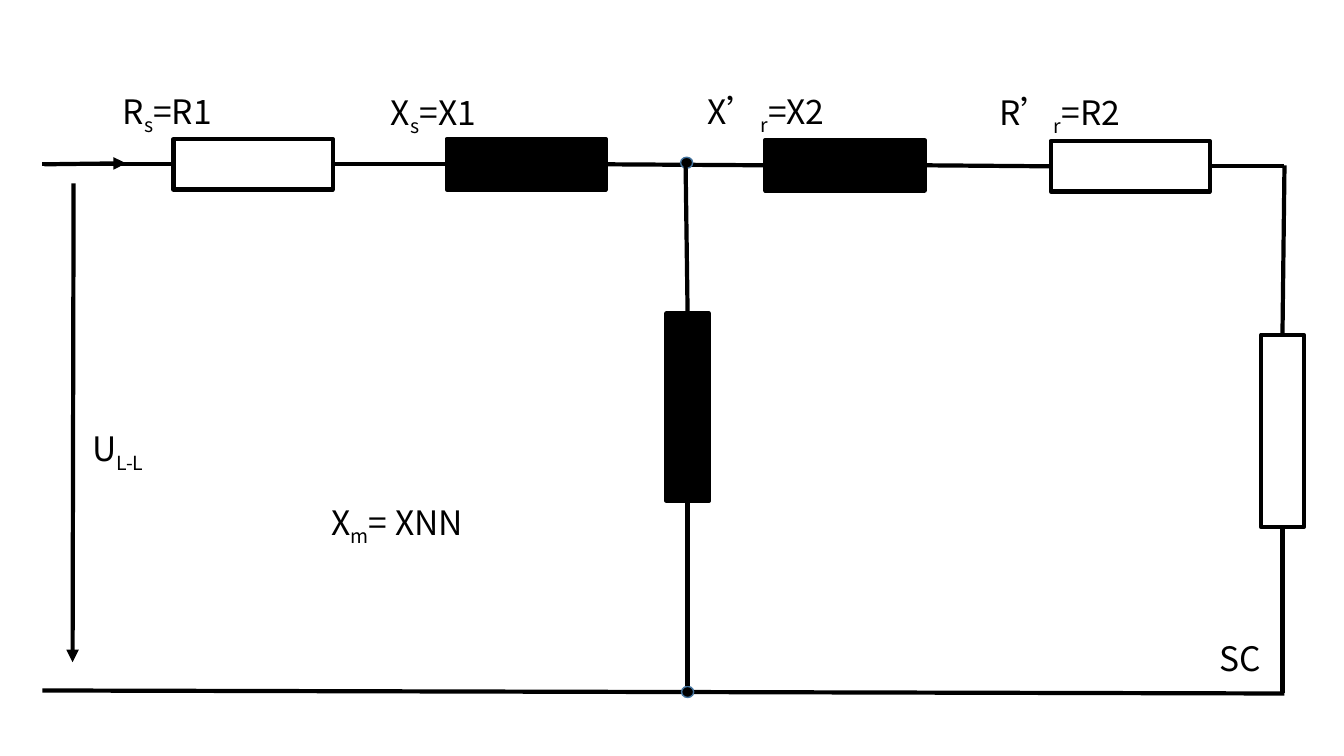
"""Draw the equivalent circuit of an induction machine on one slide."""
from lxml import etree
from pptx import Presentation
from pptx import util as u
from pptx.dml import color
from pptx.enum import shapes, text
from pptx.oxml import ns

COLOURS = {"ink": "000000", "node_edge": "43739E"}
FONT = "Noto Sans CJK SC"
COLS, ROWS = 133.3, 75
TOP, LEFT, BOTTOM, RIGHT = range(4)


class Circuit:
    """Hold the style and slide, placing parts on a grid of COLS by ROWS."""

    def __init__(self, deck):
        self.slide = deck.slides.add_slide(deck.slide_layouts[6])
        self.column = deck.slide_width / COLS
        self.row = deck.slide_height / ROWS

    def place(self, x, y):
        return u.Emu(round(x * self.column)), u.Emu(round(y * self.row))

    def outline(self, line, colour="ink", width=3):
        line.color.rgb = color.RGBColor.from_string(COLOURS[colour])
        line.width = u.Pt(width)

    def solid(self, fill):
        fill.solid()
        fill.fore_color.rgb = color.RGBColor.from_string(COLOURS["ink"])

    def element(self, x, y, width, height, filled=False):
        box = self.slide.shapes.add_shape(
            shapes.MSO_SHAPE.RECTANGLE, *self.place(x, y), *self.place(width, height))
        box.shadow.inherit = False
        if filled:
            self.solid(box.fill)
        else:
            box.fill.background()
        self.outline(box.line)
        return box

    def node(self, x, y):
        dot = self.slide.shapes.add_shape(
            shapes.MSO_SHAPE.OVAL, *self.place(x, y), *self.place(1.2, 1.1))
        dot.shadow.inherit = False
        self.solid(dot.fill)
        self.outline(dot.line, "node_edge", 1)

    def wire(self, start, end, arrow=False):
        """Join two ends, each a grid point or an (element, side) pair."""
        joined = [not isinstance(part, (int, float)) for part, _ in (start, end)]
        points = [(0, 0) if fixed else self.place(*spot)
                  for fixed, spot in zip(joined, (start, end))]
        line = self.slide.shapes.add_connector(
            shapes.MSO_CONNECTOR.STRAIGHT, *points[0], *points[1])
        if joined[0]:
            line.begin_connect(*start)
        if joined[1]:
            line.end_connect(*end)
        self.outline(line.line)
        properties = line._element.spPr
        if arrow:
            etree.SubElement(properties.find(ns.qn("a:ln")), ns.qn("a:tailEnd"), type="triangle")
        etree.SubElement(properties, ns.qn("a:effectLst"))

    def label(self, x, y, width, symbol, subscript="", value=""):
        box = self.slide.shapes.add_textbox(*self.place(x, y), *self.place(width, 5))
        frame = box.text_frame
        frame.word_wrap = True
        frame.auto_size = text.MSO_AUTO_SIZE.SHAPE_TO_FIT_TEXT
        paragraph = frame.paragraphs[0]
        for words, baseline in ((symbol, 0), (subscript, -25000), (value, 0)):
            if words:
                run = paragraph.add_run()
                run.text = words
                run.font.size = u.Pt(24)
                run.font.name = FONT
                run.font.color.rgb = color.RGBColor.from_string(COLOURS["ink"])
                properties = run._r.get_or_add_rPr()
                properties.set("baseline", str(baseline))
                etree.SubElement(properties, ns.qn("a:ea"), typeface=FONT)


def main():
    deck = Presentation()
    deck.slide_width, deck.slide_height = u.Inches(13.33), u.Inches(7.5)
    circuit = Circuit(deck)

    stator_resistance = circuit.element(17.2, 13.8, 15.8, 5)
    stator_reactance = circuit.element(44.3, 13.8, 15.8, 5, filled=True)
    rotor_reactance = circuit.element(75.9, 13.9, 15.8, 5, filled=True)
    rotor_resistance = circuit.element(104.2, 14, 15.8, 5)
    magnetising = circuit.element(66.1, 31.1, 4.2, 18.6, filled=True)
    load = circuit.element(125.1, 33.2, 4.2, 19.1)

    series = [stator_resistance, stator_reactance, rotor_reactance, rotor_resistance]
    for before, after in zip(series, series[1:]):
        circuit.wire((before, RIGHT), (after, LEFT))
    circuit.wire((4.2, 16.3), (stator_resistance, LEFT))
    circuit.wire((rotor_resistance, RIGHT), (127.4, 16.5))
    circuit.wire((127.4, 16.4), (load, TOP))
    circuit.wire((load, BOTTOM), (127.2, 68.8))
    circuit.wire((4.2, 68.5), (127.4, 68.8))

    circuit.node(67.5, 15.6)
    circuit.node(67.6, 68.1)
    circuit.wire((68, 16.5), (magnetising, TOP))
    circuit.wire((magnetising, BOTTOM), (68.2, 68.1))

    circuit.wire((4.4, 16.3), (12.5, 16.2), arrow=True)
    circuit.wire((7.3, 18.2), (7.2, 65.7), arrow=True)

    circuit.label(11.2, 8.5, 27.9, "R", "s", "=R1")
    circuit.label(37.8, 8.6, 31.6, "X", "s", "=X1")
    circuit.label(69.2, 8.5, 29.8, "X’", "r", "=X2")
    circuit.label(98.1, 8.6, 30.1, "R’", "r", "=R2")
    circuit.label(8.2, 42, 13, "U", "L-L")
    circuit.label(31.9, 49.3, 40.6, "X", "m", "= XNN")
    circuit.label(120, 62.8, 6.7, "SC")

    deck.save("out.pptx")


if __name__ == "__main__":
    main()
